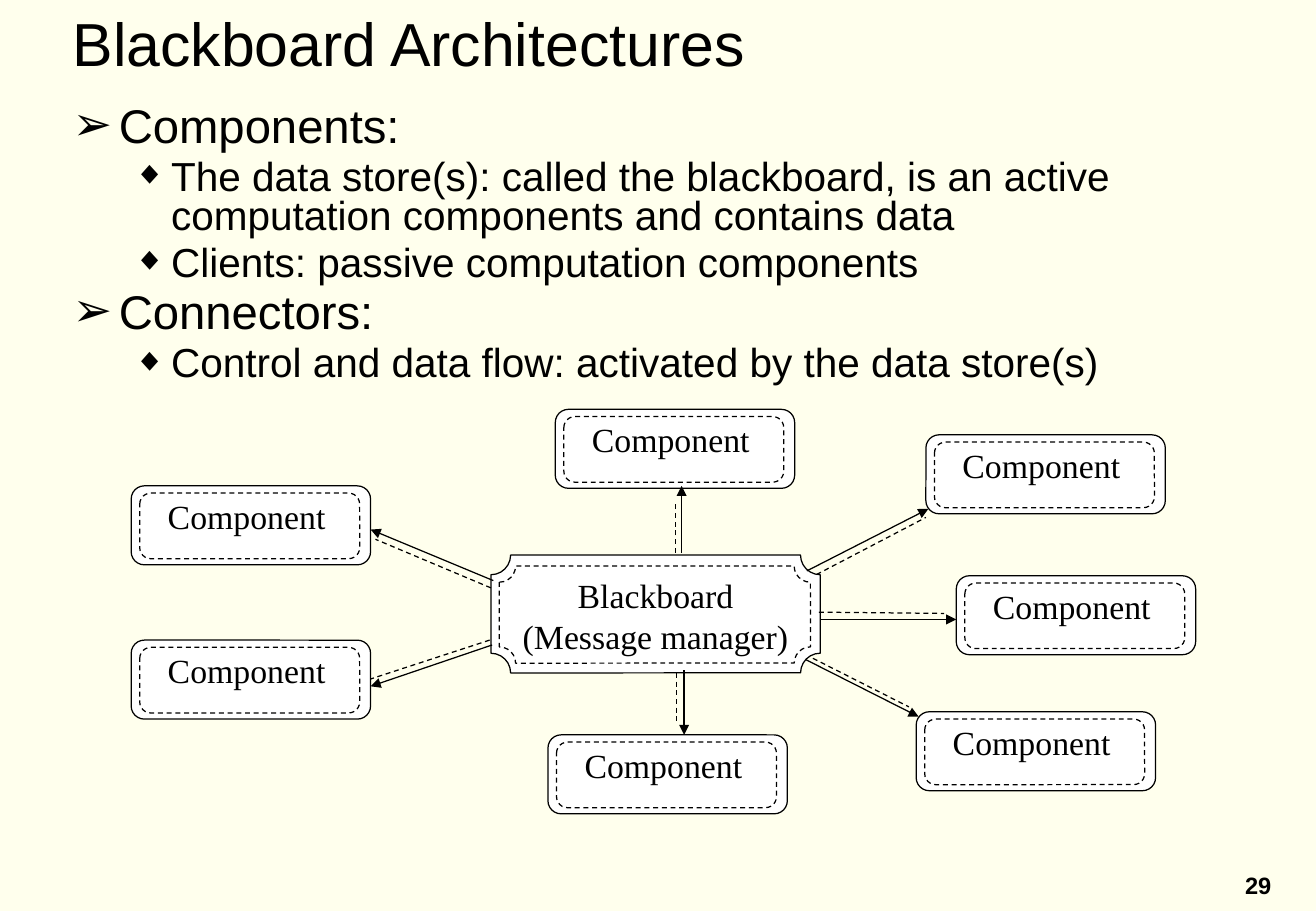
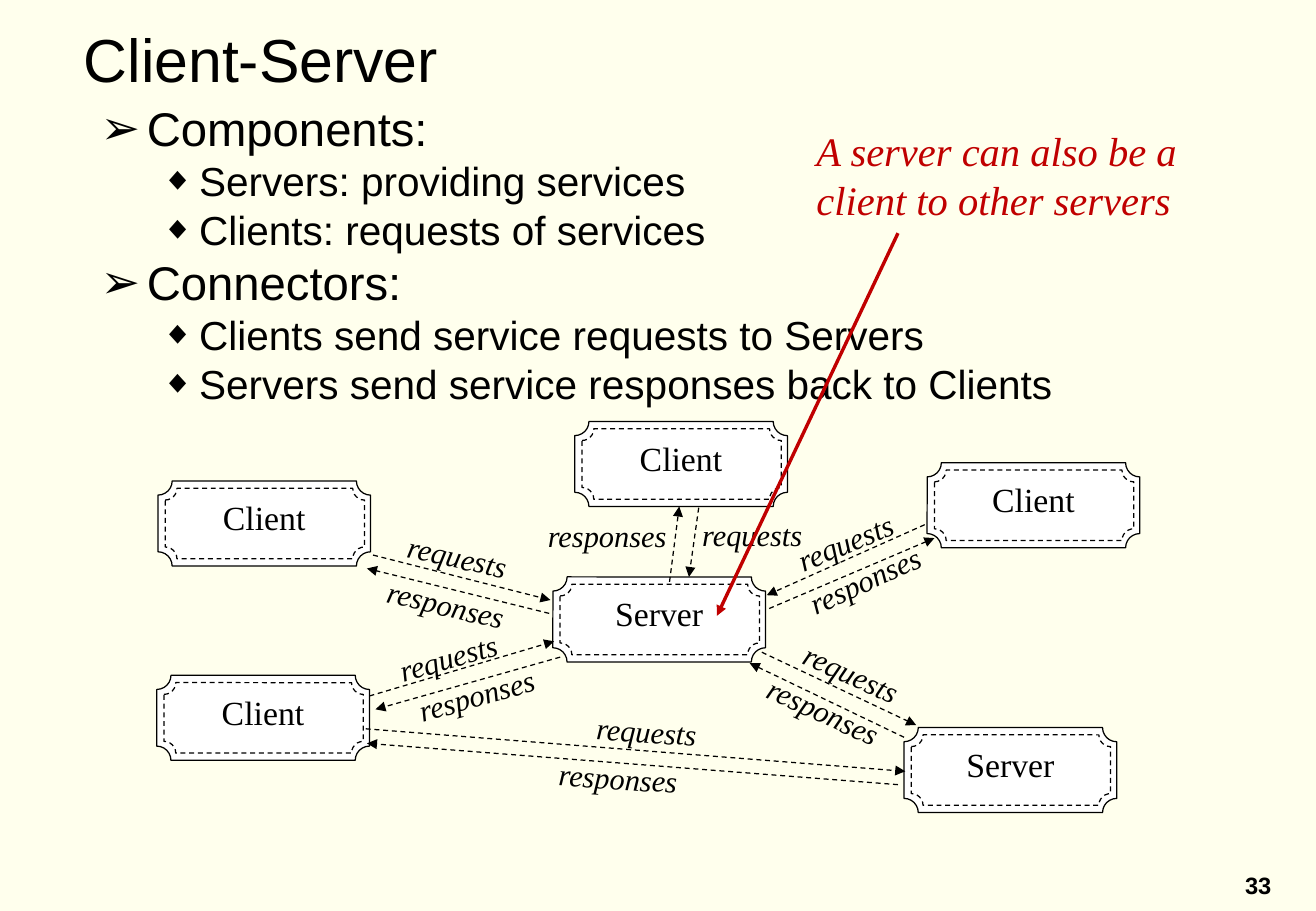
from dataclasses import dataclass

from lxml import etree
from pptx import Presentation
from pptx import util as u
from pptx.dml import color
from pptx.enum import dml, shapes, text
from pptx.oxml import ns


@dataclass(frozen=True)
class Theme:
    background: str = "FFFFED"
    ink: str = "000000"
    paper: str = "FFFFFF"
    accent: str = "C00000"
    sans: str = "Arial"
    serif: str = "Times New Roman"
    title: int = 36
    heading: int = 28
    point: int = 24
    node: int = 20
    label: int = 18
    number: int = 14
    thin: float = 0.75
    thick: float = 2


@dataclass(frozen=True)
class NodeStyle:
    preset: shapes.MSO_SHAPE
    size: tuple
    inset: tuple
    inner_size: tuple


THEME = Theme()
PLAQUE = shapes.MSO_SHAPE.PLAQUE
BOARD = NodeStyle(PLAQUE, (2.71, 0.97), (0.07, 0.09), (2.56, 0.8))
COMPONENT = NodeStyle(shapes.MSO_SHAPE.ROUNDED_RECTANGLE, (1.97, 0.65), (0.07, 0.06), (1.81, 0.54))
PARTY = NodeStyle(PLAQUE, (1.75, 0.7), (0.06, 0.06), (1.64, 0.58))

COMPONENTS = [(3.49, 0), (6.54, 0.21), (6.79, 1.37), (6.46, 2.49), (3.43, 2.68), (0, 1.9), (0, 0.63)]
CONTROL_FLOWS = [
    ((2.98, 1.41), (1.97, 0.99)),
    ((2.97, 1.94), (1.97, 2.28)),
    ((4.53, 1.18), (4.53, 0.63)),
    ((4.55, 2.15), (4.55, 2.68)),
    ((5.56, 1.33), (6.56, 0.82)),
    ((5.67, 1.73), (6.79, 1.73)),
    ((5.55, 2.06), (6.48, 2.53)),
]
DATA_FLOWS = [
    ((2.96, 1.47), (2.01, 1.07)),
    ((2.95, 1.9), (1.97, 2.22)),
    ((4.48, 1.18), (4.48, 0.77)),
    ((4.49, 2.17), (4.49, 2.59)),
    ((5.64, 1.36), (6.54, 0.89)),
    ((5.66, 1.67), (6.69, 1.68)),
    ((5.61, 2.05), (6.4, 2.45)),
]

PARTIES = [
    ("Server", (3.26, 1.28)),
    ("Server", (6.15, 2.52)),
    ("Client", (6.34, 0.34)),
    ("Client", (0.01, 0.49)),
    ("Client", (0, 2.09)),
    ("Client", (3.44, 0)),
]
REQUESTS = [
    ((1.78, 1.1), (3.24, 1.47), (1.96, 0.95), 12.1),
    ((1.75, 2.26), (3.27, 1.81), (1.88, 1.69), 343.9),
    ((4.46, 0.71), (4.38, 1.28), (4.39, 0.73), 0),
    ((6.32, 0.85), (5.02, 1.43), (5.14, 0.72), 337.3),
    ((4.98, 1.9), (6.25, 2.5), (5.19, 1.95), 24.5),
    ((1.72, 2.53), (6.16, 2.88), (3.52, 2.36), 3.9),
]
RESPONSES = [
    ((3.23, 1.58), (1.73, 1.21), (1.79, 1.33), 13.4),
    ((3.32, 1.94), (1.8, 2.37), (2.04, 2.02), 344),
    ((4.22, 1.32), (4.3, 0.7), (3.12, 0.74), 0),
    ((5.04, 1.54), (6.4, 0.96), (5.23, 1.06), 335.3),
    ((6.15, 2.6), (4.88, 1.99), (4.89, 2.23), 24.7),
    ((6.1, 2.99), (1.73, 2.65), (3.21, 2.74), 3.7),
]


def inches(values):
    return [u.Inches(value) for value in values]


def shift(origin, offset):
    return origin[0] + offset[0], origin[1] + offset[1]


def rgb(value):
    return color.RGBColor.from_string(value)


def set_font(paragraph, size, name, ink=THEME.ink, bold=False, italic=False):
    font = paragraph.font
    font.size, font.name, font.bold, font.italic = u.Pt(size), name, bold, italic
    font.color.rgb = rgb(ink)


def set_line(line, dashed=False, ink=THEME.ink, width=THEME.thin):
    line.color.rgb = rgb(ink)
    line.width = u.Pt(width)
    if dashed:
        line.dash_style = dml.MSO_LINE.DASH


def add_text(slide, box, words, size, name, centred=False, **style):
    shape = slide.shapes.add_textbox(*inches(box))
    frame = shape.text_frame
    frame.word_wrap = True
    paragraph = frame.paragraphs[0]
    paragraph.text = words
    if centred:
        paragraph.alignment = text.PP_ALIGN.CENTER
    set_font(paragraph, size, name, **style)
    return shape


def add_line(slide, start, end, dashed=False, arrow=True, **style):
    connector = slide.shapes.add_connector(shapes.MSO_CONNECTOR.STRAIGHT, *inches(start + end))
    set_line(connector.line, dashed, **style)
    if arrow:
        etree.SubElement(connector.line._get_or_add_ln(), ns.qn("a:tailEnd"), type="triangle")
    etree.SubElement(connector._element.spPr, ns.qn("a:effectLst"))


def add_outline(slide, preset, origin, size, dashed=False):
    shape = slide.shapes.add_shape(preset, *inches(origin + size))
    shape.adjustments[0] = 0.167
    shape.shadow.inherit = False
    set_line(shape.line, dashed)
    if dashed:
        shape.fill.background()
    else:
        shape.fill.solid()
        shape.fill.fore_color.rgb = rgb(THEME.paper)
    return shape


def add_node(slide, origin, words, style):
    shape = add_outline(slide, style.preset, origin, style.size)
    frame = shape.text_frame
    frame.word_wrap = True
    frame.vertical_anchor = text.MSO_ANCHOR.TOP
    paragraph = frame.paragraphs[0]
    paragraph.text = words
    paragraph.alignment = text.PP_ALIGN.CENTER
    set_font(paragraph, THEME.node, THEME.serif)
    add_outline(slide, style.preset, shift(origin, style.inset), style.inner_size, dashed=True)


def add_bullets(slide, box, items, line_spacing, space_before):
    frame = slide.shapes.add_textbox(*inches(box)).text_frame
    frame.word_wrap = True
    for index, (level, words) in enumerate(items):
        paragraph = frame.add_paragraph() if index else frame.paragraphs[0]
        paragraph.text = words
        paragraph.level = level
        margin, indent, mark, percent, size = [
            (0.38, -0.38, "➢", 100, THEME.heading),
            (0.81, -0.31, "◆", 80, THEME.point),
        ][level]
        properties = paragraph._p.get_or_add_pPr()
        properties.set("marL", str(u.Inches(margin)))
        properties.set("indent", str(u.Inches(indent)))
        etree.SubElement(properties, ns.qn("a:buSzPct"), val=str(percent * 1000))
        etree.SubElement(properties, ns.qn("a:buFont"), typeface=THEME.sans)
        etree.SubElement(properties, ns.qn("a:buChar"), char=mark)
        paragraph.line_spacing = line_spacing
        paragraph.space_before = u.Pt(space_before if index else 0)
        set_font(paragraph, size, THEME.sans)


def add_base(presentation, title, title_box, number):
    slide = presentation.slides.add_slide(presentation.slide_layouts[6])
    slide.background.fill.solid()
    slide.background.fill.fore_color.rgb = rgb(THEME.background)
    add_text(slide, (10.1, 7.12, 0.51, 0.33), number, THEME.number, THEME.sans, centred=True, bold=True)
    heading = add_text(slide, title_box, title, THEME.title, THEME.sans)
    heading.text_frame.vertical_anchor = text.MSO_ANCHOR.MIDDLE
    return slide


def add_blackboard_diagram(slide, origin):
    add_node(slide, shift(origin, (2.96, 1.2)), "Blackboard (Message manager)", BOARD)
    for offset in COMPONENTS:
        add_node(slide, shift(origin, offset), "Component ", COMPONENT)
    for start, end in CONTROL_FLOWS:
        add_line(slide, shift(origin, start), shift(origin, end))
    for start, end in DATA_FLOWS:
        add_line(slide, shift(origin, start), shift(origin, end), dashed=True, arrow=False)


def add_client_server_diagram(slide, origin):
    for words, offset in PARTIES:
        add_node(slide, shift(origin, offset), words, PARTY)
    for words, messages in (("requests", REQUESTS), ("responses", RESPONSES)):
        for start, end, place, angle in messages:
            add_line(slide, shift(origin, start), shift(origin, end), dashed=True)
            box = shift(origin, place) + (1.39, 0.4)
            label = add_text(slide, box, words, THEME.label, THEME.serif, italic=True)
            label.rotation = angle


def add_callout(slide, box):
    words = "A server can also be a client to other servers"
    add_text(slide, box, words, THEME.point, THEME.serif, ink=THEME.accent, italic=True)
    start, end = shift(box, (0.77, 0.93)), shift(box, (-0.72, 4.08))
    add_line(slide, start, end, ink=THEME.accent, width=THEME.thick)


def build_blackboard(presentation):
    slide = add_base(presentation, "Blackboard Architectures", (0.5, 0, 9.72, 0.69), "29")
    add_bullets(slide, (0.5, 0.83, 9.96, 2.54), [
        (0, "Components:"),
        (1, "The data store(s): called the blackboard, is an active computation components and contains data"),
        (1, "Clients: passive computation components"),
        (0, "Connectors:"),
        (1, "Control and data flow: activated by the data store(s)"),
    ], line_spacing=0.8, space_before=4.8)
    add_blackboard_diagram(slide, (1.08, 3.37))


def build_client_server(presentation):
    slide = add_base(presentation, "Client-Server", (0.59, 0.17, 9.59, 0.61), "33")
    add_bullets(slide, (0.73, 0.77, 9.72, 2.6), [
        (0, "Components:"),
        (1, "Servers: providing services"),
        (1, "Clients: requests of services"),
        (0, "Connectors:"),
        (1, "Clients send service requests to Servers"),
        (1, "Servers send service responses back to Clients"),
    ], line_spacing=1.0, space_before=0)
    add_client_server_diagram(slide, (1.29, 3.47))
    add_callout(slide, (6.62, 0.99, 3.39, 0.91))


def main():
    presentation = Presentation()
    presentation.slide_width, presentation.slide_height = inches((10.83, 7.5))
    build_blackboard(presentation)
    build_client_server(presentation)
    presentation.save("out.pptx")


if __name__ == "__main__":
    main()
